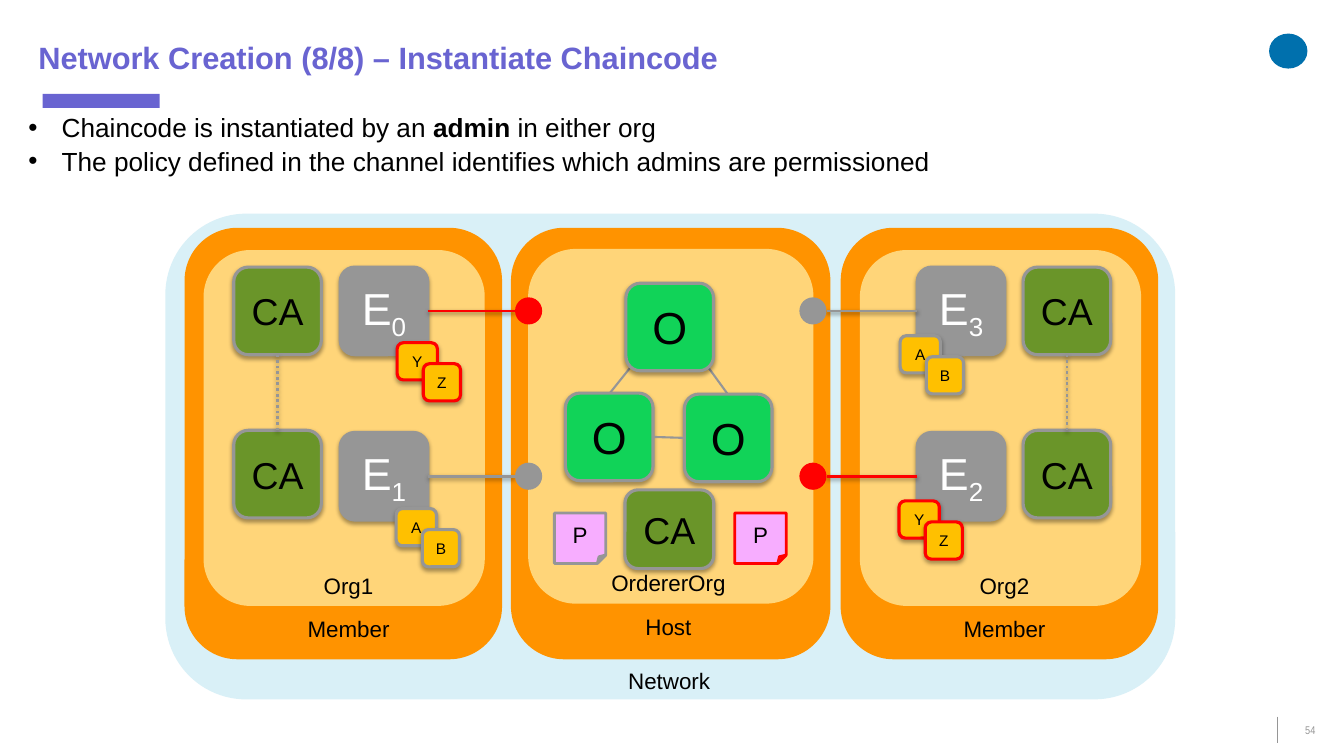
from dataclasses import dataclass

from lxml import etree
from pptx import Presentation
from pptx.dml import color as dml
from pptx.enum import dml as lines, shapes, text
from pptx.oxml import ns
from pptx.util import Pt

Kind = shapes.MSO_SHAPE
Align = text.PP_ALIGN
TOP, LEFT, BOTTOM, RIGHT = range(4)


@dataclass(frozen=True)
class Theme:
    font: str = "Arial"
    footer_font: str = "Arial Narrow"
    accent: str = "6964D1"
    logo: str = "0070AD"
    network: str = "D9F0F7"
    member: str = "FF9300"
    org: str = "FFD579"
    authority: str = "6A9529"
    orderer: str = "11D358"
    chaincode: str = "FFC000"
    policy: str = "F7ADFF"
    red: str = "FF0000"
    grey: str = "969696"
    black: str = "000000"
    white: str = "FFFFFF"
    title_size: float = 22
    body_size: float = 18.7
    label_size: float = 16
    node_size: float = 32
    authority_size: float = 26.7
    chip_size: float = 11
    footer_size: float = 8


T = Theme()

# Node grid, in points
TILE = 62.6
PORT = 19.4
PEER_X = {"left": 243, "right": 655.2}
PORT_X = {"left": 367.9, "right": 571}
AUTHORITY_X = {"left": 167, "right": 730.8}
PEER_Y = (190.8, 308.9)
AUTHORITY_Y = (190.8, 307.4)


def rgb(value):
    return dml.RGBColor.from_string(value)


def write(paragraph, runs, size=T.label_size, color=T.black, font=T.font,
          bold=False, align=Align.CENTER):
    """Fill a paragraph; runs is a string or (text, style) pairs."""
    paragraph.alignment = align
    for words, style in [(runs, "")] if isinstance(runs, str) else runs:
        run = paragraph.add_run()
        run.text = words
        run.font.name, run.font.size = font, Pt(size)
        run.font.bold = bold or style == "bold"
        run.font.color.rgb = rgb(color)
        if style == "sub":
            run.font._element.set("baseline", "-25000")


def set_frame(frame, inset=0, anchor=text.MSO_ANCHOR.MIDDLE):
    frame.word_wrap = True
    frame.auto_size = text.MSO_AUTO_SIZE.NONE
    frame.vertical_anchor = anchor
    frame.margin_left = frame.margin_right = Pt(inset)
    frame.margin_top = frame.margin_bottom = Pt(inset / 2)


def set_place(shape, x, y, w, h):
    shape.left, shape.top, shape.width, shape.height = map(Pt, (x, y, w, h))


def set_shadow(properties, alpha, distance):
    effects = properties.find(ns.qn("a:effectLst"))
    if effects is None:
        effects = etree.SubElement(properties, ns.qn("a:effectLst"))
    shadow = etree.SubElement(effects, ns.qn("a:outerShdw"), blurRad=str(Pt(3.1)),
                              dist=str(Pt(distance)), dir="5400000", rotWithShape="0")
    tint = etree.SubElement(shadow, ns.qn("a:srgbClr"), val=T.black)
    etree.SubElement(tint, ns.qn("a:alpha"), val=str(alpha * 1000))


def add_block(slide, kind, x, y, w, h, fill, edge=None, weight=2.25,
              words=None, shadow=False, **style):
    block = slide.shapes.add_shape(kind, *map(Pt, (x, y, w, h)))
    block.shadow.inherit = False
    block.fill.solid()
    block.fill.fore_color.rgb = rgb(fill)
    if edge:
        block.line.color.rgb = rgb(edge)
        block.line.width = Pt(weight)
    else:
        block.line.fill.background()
    if shadow:
        set_shadow(block._element.spPr, 35, 1.8)
    if words:
        set_frame(block.text_frame)
        write(block.text_frame.paragraphs[0], words, **style)
    return block


def add_node(slide, words, x, y, fill, size, w=TILE, h=TILE, edge=T.grey, color=T.black):
    return add_block(slide, Kind.ROUNDED_RECTANGLE, x, y, w, h, fill, edge,
                     words=words, shadow=True, size=size, color=color)


def add_label(slide, words, center, y, w=160, h=26.6, anchor=text.MSO_ANCHOR.TOP, **style):
    label = slide.shapes.add_textbox(*map(Pt, (center - w / 2, y, w, h)))
    set_frame(label.text_frame, inset=7.2, anchor=anchor)
    write(label.text_frame.paragraphs[0], words, **style)


def add_link(slide, start=(0, 0), end=(0, 0), color=T.grey, weight=2.0,
             begin_at=None, end_at=None, dotted=False, shadow=True):
    """Draw a line; begin_at and end_at are (shape, side) joints."""
    link = slide.shapes.add_connector(shapes.MSO_CONNECTOR.STRAIGHT,
                                      *map(Pt, (*start, *end)))
    if begin_at:
        link.begin_connect(*begin_at)
    if end_at:
        link.end_connect(*end_at)
    link.line.color.rgb = rgb(color)
    link.line.width = Pt(weight)
    if dotted:
        link.line.dash_style = lines.MSO_LINE.ROUND_DOT
    if shadow:
        set_shadow(link._element.spPr, 38, 1.6)
    else:
        etree.SubElement(link._element.spPr, ns.qn("a:effectLst"))


def add_member(slide, x, w, org, inner_x, inner_y, inner_w, inner_h, center, member, drop):
    add_block(slide, Kind.ROUNDED_RECTANGLE, x, 162.7, w, 308.2, T.member)
    add_block(slide, Kind.ROUNDED_RECTANGLE, inner_x, inner_y, inner_w, inner_h, T.org)
    add_label(slide, org, center, 405.4 - drop)
    add_label(slide, member, center, 435.6 - drop / 2)


def add_peer(slide, side, row, number, color, chips, chip_x, chip_y):
    """Peer tile, its channel port and its two overlapping chaincodes."""
    x, y = PEER_X[side], PEER_Y[row]
    peer = add_node(slide, [("E", ""), (number, "sub")], x, y, T.grey,
                    T.node_size, color=T.white)
    middle = y + TILE / 2
    port_x = PORT_X[side]
    port_edge = port_x if side == "left" else port_x + PORT
    add_link(slide, end=(port_edge, middle), color=color,
             begin_at=(peer, RIGHT if side == "left" else LEFT))
    add_block(slide, Kind.OVAL, port_x, middle - PORT / 2, PORT, PORT, color)
    for i, (chip, w) in enumerate(zip(chips, (28.8, 26.6))):
        add_node(slide, chip, chip_x + 18.7 * i, chip_y + 15 * i, T.chaincode,
                 T.chip_size, w, 26.6, edge=color)


def add_authorities(slide, side):
    upper, lower = (add_node(slide, "CA", AUTHORITY_X[side], y, T.authority,
                             T.authority_size) for y in AUTHORITY_Y)
    add_link(slide, begin_at=(lower, TOP), end_at=(upper, BOTTOM), dotted=True)


def add_ordering_service(slide):
    for start, end in (((450, 262.8), (435.6, 280.8)), ((506.2, 262.8), (519.8, 281.5))):
        add_link(slide, start, end, weight=1.5, shadow=False)
    left, top, right = (add_node(slide, "O", x, y, T.orderer, T.node_size)
                        for x, y in ((403.9, 280.8), (447.1, 202.3), (488.9, 281.5)))
    add_link(slide, begin_at=(left, RIGHT), end_at=(right, LEFT), weight=1.5, shadow=False)
    for x, color in ((396, T.grey), (524.9, T.red)):
        add_block(slide, Kind.FOLDED_CORNER, x, 366.5, 36.7, 36, T.policy, color, 2, "P")
    add_node(slide, "CA", 446.4, 349.9, T.authority, T.authority_size, 63.4, 56.2)


def add_heading(slide):
    title, body = slide.shapes.title, slide.placeholders[1]
    set_place(title, 27.4, 27, 815.8, 28)
    set_frame(title.text_frame)
    write(title.text_frame.paragraphs[0], "Network Creation (8/8) – Instantiate Chaincode",
          size=T.title_size, color=T.accent, bold=True, align=Align.LEFT)
    set_place(body, 13, 74.9, 717.8, 52.6)
    set_frame(body.text_frame, inset=7.2, anchor=text.MSO_ANCHOR.TOP)
    points = ([("Chaincode is instantiated by an ", ""), ("admin", "bold"),
               (" in either org", "")],
              "The policy defined in the channel identifies which admins are permissioned")
    for i, point in enumerate(points):
        paragraph = body.text_frame.add_paragraph() if i else body.text_frame.paragraphs[0]
        properties = paragraph._p.get_or_add_pPr()
        properties.set("marL", str(Pt(23.8)))
        properties.set("indent", str(-Pt(23.8)))
        etree.SubElement(properties, ns.qn("a:buChar"), char="•")
        paragraph.space_before = Pt(0)
        paragraph.line_spacing = 1.06
        write(paragraph, point, size=T.body_size, align=Align.LEFT)


def main():
    deck = Presentation()
    deck.slide_width, deck.slide_height = Pt(960), Pt(540)
    slide = deck.slides.add_slide(deck.slide_layouts[1])

    # Heading, accent bar and corner emblem
    add_heading(slide)
    add_block(slide, Kind.RECTANGLE, 30.5, 67, 83.5, 10, T.accent)
    add_block(slide, Kind.OVAL, 906.5, 24, 27.4, 25, T.logo)

    # Network with its three members
    add_block(slide, Kind.ROUNDED_RECTANGLE, 118.1, 152.6, 721.4, 347, T.network)
    add_label(slide, "Network", 478, 473)
    add_member(slide, 131.8, 226.8, "Org1", 145.4, 178.6, 200.9, 254.2, 249, "Member", 0)
    add_member(slide, 365, 228.2, "OrdererOrg", 377.3, 177.8, 203.8, 253.4, 477.5, "Host", 2.2)
    add_member(slide, 600.5, 226.8, "Org2", 614.2, 178.6, 200.9, 254.2, 717.5, "Member", 0)

    # Nodes
    add_ordering_service(slide)
    for side in AUTHORITY_X:
        add_authorities(slide, side)
    add_peer(slide, "left", 0, "0", T.red, "YZ", 283.7, 244.8)
    add_peer(slide, "left", 1, "1", T.grey, "AB", 283, 363.3)
    add_peer(slide, "right", 1, "2", T.red, "YZ", 642.2, 357.8)
    add_peer(slide, "right", 0, "3", T.grey, "AB", 643, 239.8)

    # Footer
    add_link(slide, (912.2, 511.9), (912.2, 530.6), weight=0.75, shadow=False)
    add_label(slide, "54", 936, 511.9, w=47.5, h=19.4, anchor=text.MSO_ANCHOR.MIDDLE,
              size=T.footer_size, font=T.footer_font, color=T.grey)

    deck.save("out.pptx")


if __name__ == "__main__":
    main()
